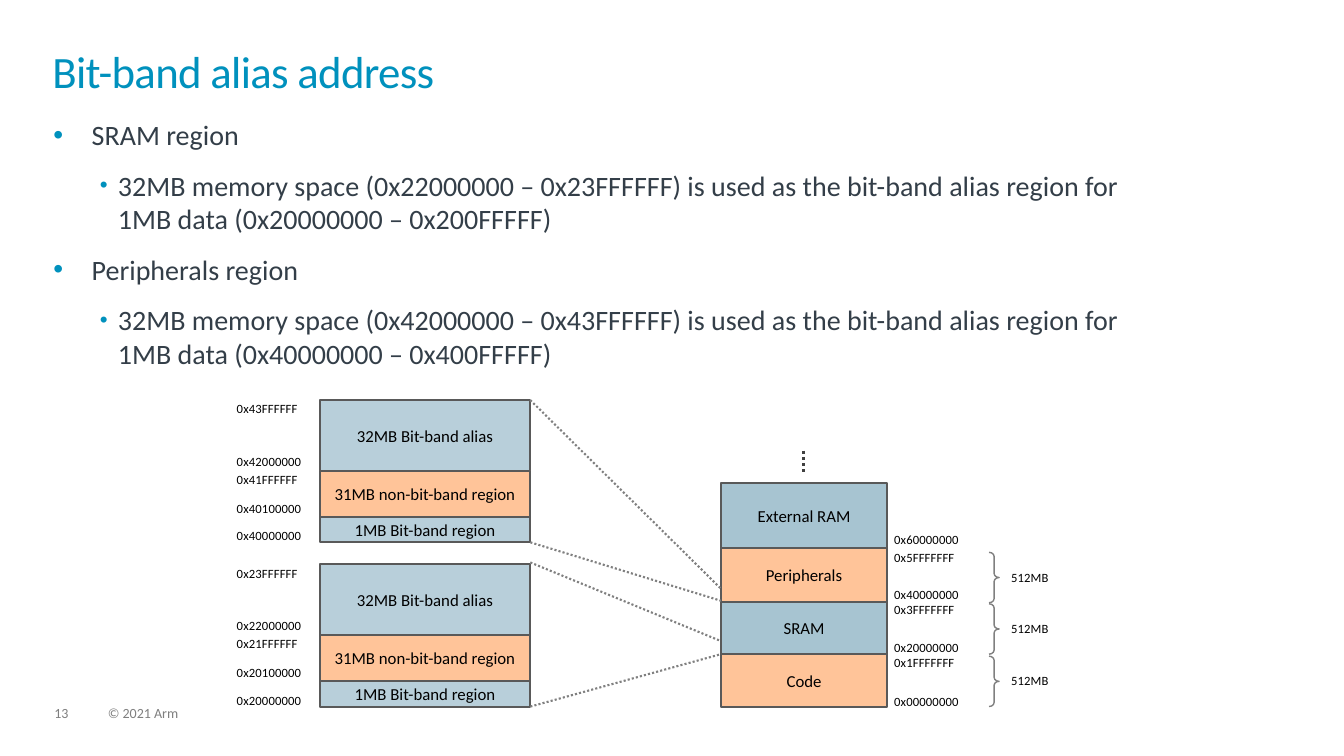
from lxml import etree
from pptx import Presentation
from pptx.dml.color import RGBColor
from pptx.enum.dml import MSO_LINE
from pptx.enum.shapes import MSO_CONNECTOR, MSO_SHAPE
from pptx.enum.text import MSO_ANCHOR, PP_ALIGN
from pptx.oxml.ns import qn
from pptx.util import Inches, Pt

RECTANGLE, BRACE = MSO_SHAPE.RECTANGLE, MSO_SHAPE.RIGHT_BRACE
STRAIGHT, DOTTED = MSO_CONNECTOR.STRAIGHT, MSO_LINE.ROUND_DOT
MIDDLE, CENTER = MSO_ANCHOR.MIDDLE, PP_ALIGN.CENTER

CELL = Inches(0.01)
COLUMNS, ROWS = 1333, 750
BLUE, GREY_BLUE, ORANGE = "B8CFDA", "A7C4D1", "FFC499"
TEAL, SLATE, GREY, BLACK = "0091BD", "333E48", "808080", "000000"
NO_INSET = {"margin_left": 0, "margin_top": 0, "margin_right": 0,
            "margin_bottom": 0, "word_wrap": True}


def color(value):
    return RGBColor.from_string(value)


def add_text(left, top, width, height, text, size, fill, spacing=0,
             frame_format=None, paragraph_format=None):
    shape = slide.shapes.add_textbox(left * CELL, top * CELL, width * CELL, height * CELL)
    for name, value in (frame_format or {"word_wrap": True}).items():
        setattr(shape.text_frame, name, value)
    paragraph = shape.text_frame.paragraphs[0]
    for name, value in (paragraph_format or {}).items():
        setattr(paragraph, name, value)
    run = paragraph.add_run()
    run.text = text
    for name, value in {"name": "Calibri", "size": Pt(size)}.items():
        setattr(run.font, name, value)
    run.font.color.rgb = color(fill)
    if spacing:
        run.font._element.set("spc", str(spacing))
    return shape


presentation = Presentation()
presentation.slide_width = COLUMNS * CELL
presentation.slide_height = ROWS * CELL
slide = presentation.slides.add_slide(presentation.slide_layouts[6])

footer_format = {"line_spacing": 0.9, "space_after": Pt(6)}
for left, width, text in [(54, 34, "13"), (107, 507, "© 2021 Arm")]:
    add_text(left, 701, width, 15, text, 10, "7F7F7F", 0, NO_INSET, footer_format)
add_text(52, 52, 1228, 72, "Bit-band alias address", 32, TEAL, -50,
         NO_INSET, {"line_spacing": 0.85})

bullets = [
    (0, "SRAM region"),
    (1, "32MB memory space (0x22000000 – 0x23FFFFFF) is used as the bit-band "
        "alias region for 1MB data (0x20000000 – 0x200FFFFF)"),
    (0, "Peripherals region"),
    (1, "32MB memory space (0x42000000 – 0x43FFFFFF) is used as the bit-band "
        "alias region for 1MB data (0x40000000 – 0x400FFFFF)"),
]
indents = [(38, -38, 100), (64, -18, 80)]
body = slide.shapes.add_textbox(53 * CELL, 117 * CELL, 1097 * CELL, 314 * CELL)
for name, value in NO_INSET.items():
    setattr(body.text_frame, name, value)
for index, (level, text) in enumerate(bullets):
    paragraph = body.text_frame.add_paragraph() if index else body.text_frame.paragraphs[0]
    paragraph.level = level
    paragraph.space_before = Pt(12 if index else 0)
    margin, indent, bullet_size = indents[level]
    properties = paragraph._p.get_or_add_pPr()
    properties.set("marL", str(margin * CELL))
    properties.set("indent", str(indent * CELL))
    bullet_color = etree.SubElement(properties, qn("a:buClr"))
    etree.SubElement(bullet_color, qn("a:srgbClr")).set("val", TEAL)
    etree.SubElement(properties, qn("a:buSzPct")).set("val", str(bullet_size * 1000))
    etree.SubElement(properties, qn("a:buFont")).set("typeface", "Arial")
    etree.SubElement(properties, qn("a:buChar")).set("char", "•")
    run = paragraph.add_run()
    run.text = text
    for name, value in {"name": "Calibri", "size": Pt(20)}.items():
        setattr(run.font, name, value)
    run.font.color.rgb = color(SLATE)

bit_band_regions = [("32MB Bit-band alias", 70, BLUE),
                    ("31MB non-bit-band region", 46, ORANGE),
                    ("1MB Bit-band region", 25, BLUE)]
memory_map = [("External RAM", 65, GREY_BLUE), ("Peripherals", 53, ORANGE),
              ("SRAM", 52, GREY_BLUE), ("Code", 52, ORANGE)]
stacks = [(715, 479, 165, memory_map),
          (317, 560, 209, bit_band_regions),
          (317, 397, 209, bit_band_regions)]
for left, top, width, regions in stacks:
    for text, height, fill in regions:
        region = slide.shapes.add_shape(RECTANGLE, left * CELL, top * CELL,
                                        width * CELL, height * CELL)
        region.shadow.inherit = False
        region.fill.solid()
        region.fill.fore_color.rgb = color(fill)
        region.line.color.rgb = color("595959")
        region.line.width = Pt(1.5)
        for name, value in {"word_wrap": False, "vertical_anchor": MIDDLE,
                            "text": text}.items():
            setattr(region.text_frame, name, value)
        paragraph = region.text_frame.paragraphs[0]
        paragraph.alignment = CENTER
        for name, value in {"name": "Calibri", "size": Pt(12)}.items():
            setattr(paragraph.font, name, value)
        paragraph.font.color.rgb = color(BLACK)
        top += height

map_addresses = [(523, "0x60000000"), (541, "0x5FFFFFFF"), (577, "0x40000000"),
                 (592, "0x3FFFFFFF"), (630, "0x20000000"), (645, "0x1FFFFFFF"),
                 (683, "0x00000000")]
for top, address in map_addresses:
    add_text(877, top, 110, 25, address, 9, BLACK, 10)

address_offsets = [(-4, "3FFFFFF"), (48, "2000000"), (66, "1FFFFFF"),
                   (95, "0100000"), (122, "0000000")]
for stack_top, prefix in [(397, "0x4"), (560, "0x2")]:
    for offset, suffix in address_offsets:
        add_text(225, stack_top + offset, 110, 25, prefix + suffix, 9, BLACK, 10)

for top in (548, 599, 651):
    brace = slide.shapes.add_shape(BRACE, 981 * CELL, top * CELL, 10 * CELL, 50 * CELL)
    brace.shadow.inherit = False
    brace.fill.background()
    brace.line.color.rgb = color(GREY)
    brace.line.width = Pt(1)
    brace.adjustments[0] = 0.4
    brace.adjustments[1] = 0.5
    add_text(993, top + 12, 77, 25, "512MB", 9, BLACK, 10)

dotted_lines = [(797, 447, 797, 469, "404040", 2.25),
                (526, 701, 715, 649, GREY, 1.5),
                (526, 558, 715, 636, GREY, 1.5),
                (526, 538, 715, 596, GREY, 1.5),
                (526, 397, 715, 584, GREY, 1.5)]
for *ends, stroke, width in dotted_lines:
    connector = slide.shapes.add_connector(STRAIGHT, *[end * CELL for end in ends])
    connector.line.color.rgb = color(stroke)
    for name, value in {"width": Pt(width), "dash_style": DOTTED}.items():
        setattr(connector.line, name, value)
    etree.SubElement(connector._element.spPr, qn("a:effectLst"))

presentation.save("out.pptx")
